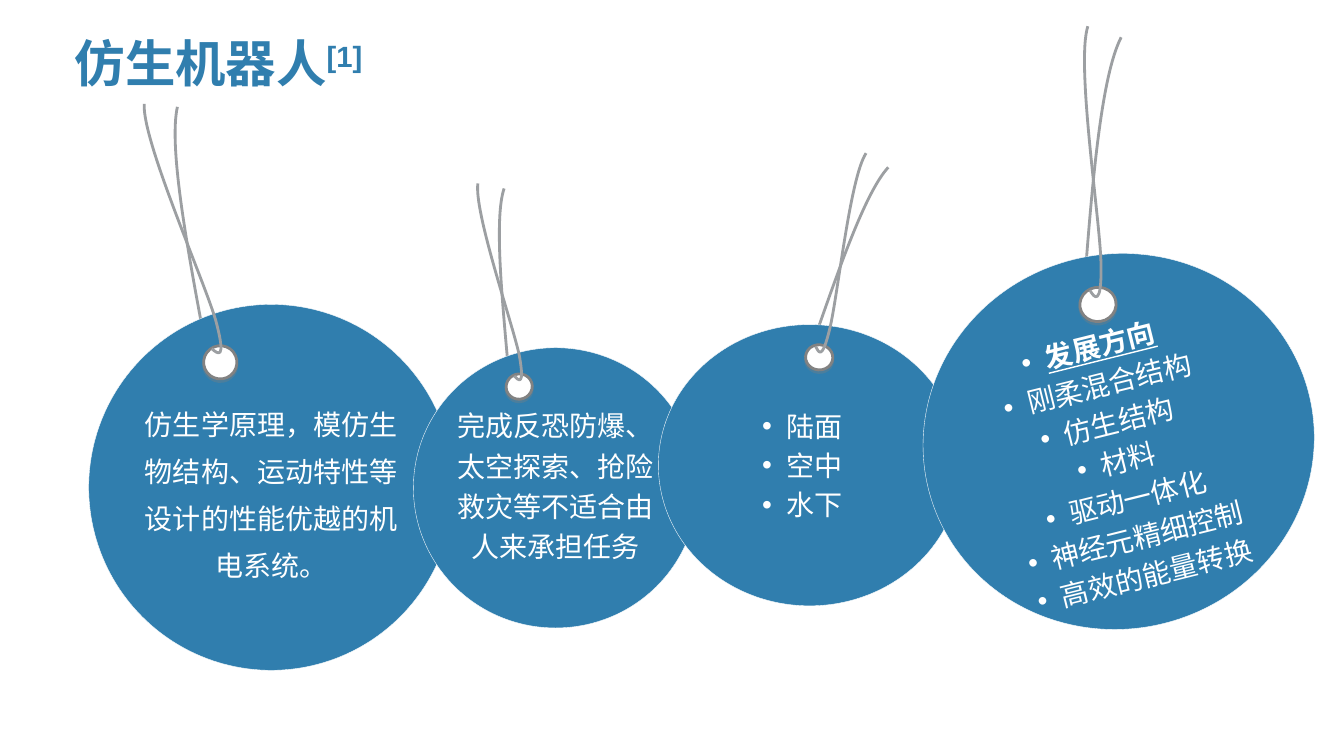
import math

import lxml.etree
import pptx
import pptx.dml.color
import pptx.enum.shapes
import pptx.enum.text
import pptx.oxml.ns
import pptx.util

PX = 9144  # EMU, 100 px to the inch
COLORS = {"blue": "307EAE", "white": "FFFFFF", "string": "9C9FA2",
          "rim": "828282", "shadow": "808080"}
ALIGN = pptx.enum.text.PP_ALIGN
ANCHOR = pptx.enum.text.MSO_ANCHOR
qn = pptx.oxml.ns.qn

# Each string is a frame, its rotation in degrees and its curve points.
TAGS = [
    dict(disc=(88, 302, 362, 363), hole=(202, 343, 33, 33, 336.8),
         back=((94, 152, 192, 152), 44.8,
               [(205, 349), (186, 248), (167, 146), (176, 106)]),
         front=((74, 152, 211, 150), 38,
                [(210, 346), (216, 351), (225, 359), (214, 318),
                 (202, 277), (141, 140), (143, 103)]),
         lines=["仿生学原理，模仿生物结构、运动特性等设计的性能优越的机电系统。"],
         spacing=1.4, top=2),
    dict(disc=(410, 345, 282, 278), hole=(502, 371, 26, 25, 341.9),
         back=((429, 222, 147, 118), 49.9,
               [(505, 375), (498, 296), (490, 217), (500, 187)]),
         front=((413, 223, 164, 114), 43.1,
                [(510, 373), (514, 377), (521, 385), (515, 352),
                 (508, 320), (470, 210), (474, 182)]),
         lines=["完成反恐防爆、太空探索、抢险救灾等不适合由人来承担任务"],
         spacing=1.2, bottom=10),
    dict(disc=(653, 322, 300, 279), hole=(799, 342, 27, 25, 4.7),
         back=((769, 192, 147, 125), 72.7,
               [(805, 344), (832, 267), (858, 191), (881, 166)]),
         front=((754, 189, 162, 123), 65.9,
                [(809, 344), (812, 349), (815, 359), (823, 326),
                 (831, 293), (843, 176), (859, 152)]),
         lines=["陆面", "空中", "水下"], bullet=True, before=4),
    dict(disc=(915, 252, 389, 372), hole=(1071, 285, 36, 34, 350.7),
         back=((995, 82, 197, 163), 58.7,
               [(1075, 290), (1083, 183), (1092, 76), (1112, 37)]),
         front=((974, 81, 216, 161), 51.9,
                [(1081, 288), (1085, 295), (1093, 306), (1092, 261),
                 (1091, 217), (1067, 63), (1079, 26)]),
         lines=["发展方向", "刚柔混合结构", "仿生结构", "材料", "驱动一体化",
                "神经元精细控制", "高效的能量转换"],
         bullet=True, before=4, heading=True, rotation=346, top=38),
]


def rgb(name):
    return pptx.dml.color.RGBColor.from_string(COLORS[name])


def px(*values):
    return [v * PX for v in values]


def add_bullet(p):
    pPr = p._p.get_or_add_pPr()
    pPr.set("marL", str(9 * PX))
    pPr.set("indent", str(-24 * PX))
    lxml.etree.SubElement(pPr, qn("a:buFont")).set("typeface", "Arial")
    lxml.etree.SubElement(pPr, qn("a:buChar")).set("char", "•")


def add_run(p, text, size=20, font="Arial Narrow", color="white",
            bold=False, underline=False, baseline=None):
    r = p.add_run()
    r.text = text
    r.font.size = pptx.util.Pt(size)
    r.font.name = font
    r.font.color.rgb = rgb(color)
    r.font.bold = bold
    r.font.underline = underline
    if baseline:
        r._r.get_or_add_rPr().set("baseline", str(baseline * 1000))


def add_ellipse(shapes, box, fill, line, width, rotation):
    sp = shapes.add_shape(pptx.enum.shapes.MSO_SHAPE.OVAL, *px(*box))
    sp.rotation = rotation
    sp.shadow.inherit = False
    sp.fill.solid()
    sp.fill.fore_color.rgb = rgb(fill)
    sp.line.color.rgb = rgb(line)
    sp.line.width = pptx.util.Pt(width)
    return sp


def to_frame(point, frame, rotation):
    """Turn a slide point into EMU inside a rotated frame."""
    left, top, width, height = frame
    dx, dy = point[0] - left - width / 2, point[1] - top - height / 2
    cos, sin = math.cos(math.radians(rotation)), math.sin(math.radians(rotation))
    return (round((dx * cos + dy * sin + width / 2) * PX),
            round((dy * cos - dx * sin + height / 2) * PX))


def add_string(shapes, frame, rotation, points):
    """Draw chained cubic curves: a start, then three points per curve."""
    local = [to_frame(point, frame, rotation) for point in points]
    builder = shapes.build_freeform(*local[0])
    builder.add_line_segments(local[1:], close=False)
    sp = builder.convert_to_shape()
    sp.left, sp.top, sp.width, sp.height = px(*frame)
    sp.rotation = rotation
    sp.shadow.inherit = False
    sp.fill.background()
    sp.line.color.rgb = rgb("string")
    sp.line.width = pptx.util.Pt(2)
    outline = next(sp._element.iter(qn("a:path")))
    outline.set("w", str(sp.width))
    outline.set("h", str(sp.height))
    for pt, (x, y) in zip(outline.iter(qn("a:pt")), local):
        pt.set("x", str(x))
        pt.set("y", str(y))
    segments = outline.findall(qn("a:lnTo"))
    for i in range(0, len(segments), 3):
        curve = lxml.etree.Element(qn("a:cubicBezTo"))
        segments[i].addprevious(curve)
        for segment in segments[i:i + 3]:
            curve.append(segment[0])
            outline.remove(segment)


def add_disc(shapes, box, lines, spacing=None, bullet=False, before=0,
             heading=False, rotation=0, top=0, bottom=0):
    sp = add_ellipse(shapes, box, "blue", "white", 0.25, rotation)
    tf = sp.text_frame
    tf.word_wrap = True
    tf.vertical_anchor = ANCHOR.MIDDLE
    tf.margin_left = tf.margin_right = 0
    tf.margin_top, tf.margin_bottom = px(top, bottom)
    for i, line in enumerate(lines):
        p = tf.add_paragraph() if i else tf.paragraphs[0]
        if bullet:
            add_bullet(p)
        p.alignment = ALIGN.CENTER
        if spacing:
            p.line_spacing = spacing
        if i and before:
            p.space_before = pptx.util.Pt(before)
        first = heading and i == 0
        add_run(p, line, bold=first, underline=first)


def add_hole(shapes, left, top, width, height, rotation):
    sp = add_ellipse(shapes, (left, top, width, height), "white", "rim", 2, rotation)
    effects = sp._element.spPr.find(qn("a:effectLst"))
    shadow = lxml.etree.SubElement(effects, qn("a:outerShdw"), dist="22860",
                                   dir="5400000", rotWithShape="0")
    color = lxml.etree.SubElement(shadow, qn("a:srgbClr"), val=COLORS["shadow"])
    lxml.etree.SubElement(color, qn("a:alpha"), val="35000")


def add_tag(s, disc, hole, back, front, **text):
    shapes = s.shapes.add_group_shape().shapes
    add_string(shapes, *back)
    add_disc(shapes, disc, **text)
    add_hole(shapes, *hole)
    add_string(shapes, *front)


def add_title(s):
    sp = s.shapes.title
    sp.left, sp.top, sp.width, sp.height = px(64, 4, 902, 94)
    tf = sp.text_frame
    tf.word_wrap = True
    tf.vertical_anchor = ANCHOR.BOTTOM
    p = tf.paragraphs[0]
    p.alignment = ALIGN.LEFT
    p.line_spacing = 0.9
    style = dict(size=36, font="Arial", color="blue", bold=True)
    add_run(p, "仿生机器人", **style)
    add_run(p, "[1]", baseline=30, **style)


def main():
    prs = pptx.Presentation()
    prs.slide_width, prs.slide_height = px(1333, 750)
    s = prs.slides.add_slide(prs.slide_layouts[5])
    add_title(s)
    for tag in TAGS:
        add_tag(s, **tag)
    prs.save("out.pptx")


if __name__ == "__main__":
    main()
